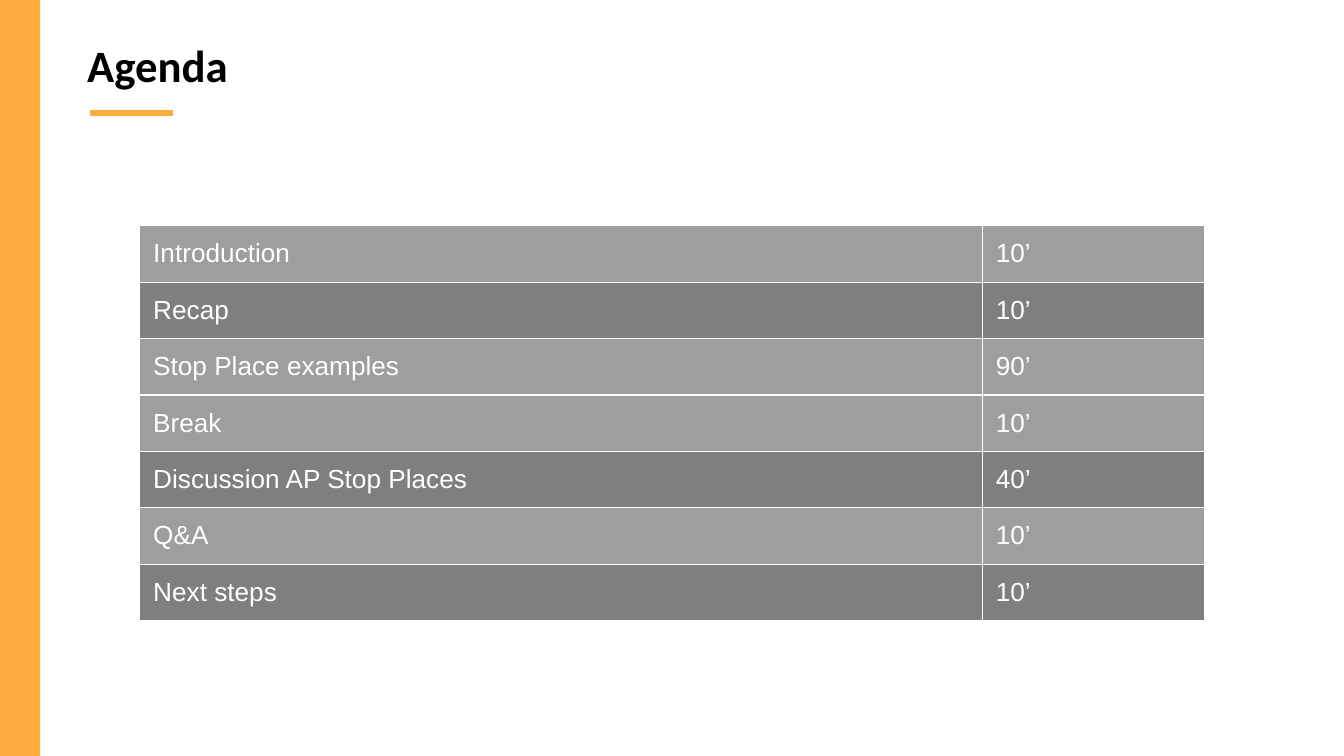
from lxml.etree import SubElement as Sub
from pptx import Presentation
from pptx.dml.color import RGBColor as Rgb
from pptx.enum.shapes import MSO_CONNECTOR as Link, MSO_SHAPE as Form
from pptx.oxml.ns import qn
from pptx.util import Inches, Pt

HUE = {"amber": "FFAB40", "light": "9E9E9E", "dark": "7F7F7F",
       "white": "FFFFFF", "black": "000000"}
ITEMS = [
    ("Introduction", "10’", "light"),
    ("Recap", "10’", "dark"),
    ("Stop Place examples", "90’", "light"),
    ("Break", "10’", "light"),
    ("Discussion AP Stop Places", "40’", "dark"),
    ("Q&A", "10’", "light"),
    ("Next steps", "10’", "dark"),
]
COLS = [Inches(6.27), Inches(1.65)]
ROW = Inches(0.42)
PAD = Inches(0.1)


def style(para, face, size, hue, bold=False):
    font = para.font
    font.name, font.size, font.bold = face, Pt(size), bold
    font.color.rgb = Rgb.from_string(HUE[hue])


def edge(cell):
    """Draw a thin white border on all four sides of a cell."""
    props = cell._tc.get_or_add_tcPr()
    for at, side in enumerate(("a:lnL", "a:lnR", "a:lnT", "a:lnB")):
        line = Sub(props, qn(side), w=str(Pt(0.75)))
        fill = Sub(line, qn("a:solidFill"))
        Sub(fill, qn("a:srgbClr"), val=HUE["white"])
        props.insert(at, line)


deck = Presentation()
wide = Inches(10)
high = wide * 9 // 16
deck.slide_width, deck.slide_height = wide, high
slide = deck.slides.add_slide(deck.slide_layouts[6])
shapes = slide.shapes

# Title
title = shapes.add_textbox(Inches(0.55), Inches(0.18), Inches(7.75), Inches(0.48))
frame = title.text_frame
frame.word_wrap = True
frame.margin_left = frame.margin_right = PAD
frame.margin_top = frame.margin_bottom = PAD
frame.text = "Agenda"
style(frame.paragraphs[0], "Calibri", 24, "black", True)

# Rule under the title
level = Inches(0.84)
rule = shapes.add_connector(Link.STRAIGHT, Inches(0.67), level, Inches(1.29), level)
rule.line.color.rgb = Rgb.from_string(HUE["amber"])
rule.line.width = Pt(3)
Sub(rule._element.spPr, qn("a:effectLst"))

# Agenda table, centred across the slide
span = sum(COLS)
grid = shapes.add_table(len(ITEMS), len(COLS), (wide - span) // 2, Inches(1.68),
                        span, ROW * len(ITEMS)).table
grid.first_row = grid.horz_banding = False
for col, width in zip(grid.columns, COLS):
    col.width = width
for row, (topic, time, hue) in zip(grid.rows, ITEMS):
    row.height = ROW
    for cell, text in zip(row.cells, (topic, time)):
        cell.text = text
        cell.margin_left = cell.margin_right = cell.margin_top = PAD
        cell.margin_bottom = Inches(0.08)  # keeps the text within the row height
        cell.fill.solid()
        cell.fill.fore_color.rgb = Rgb.from_string(HUE[hue])
        style(cell.text_frame.paragraphs[0], "Arial", 14, "white")
        edge(cell)

# Side band
band = shapes.add_shape(Form.RECTANGLE, 0, 0, int(wide * 0.03), high)
band.shadow.inherit = False
band.fill.solid()
band.fill.fore_color.rgb = Rgb.from_string(HUE["amber"])
band.line.fill.background()

deck.save("out.pptx")
